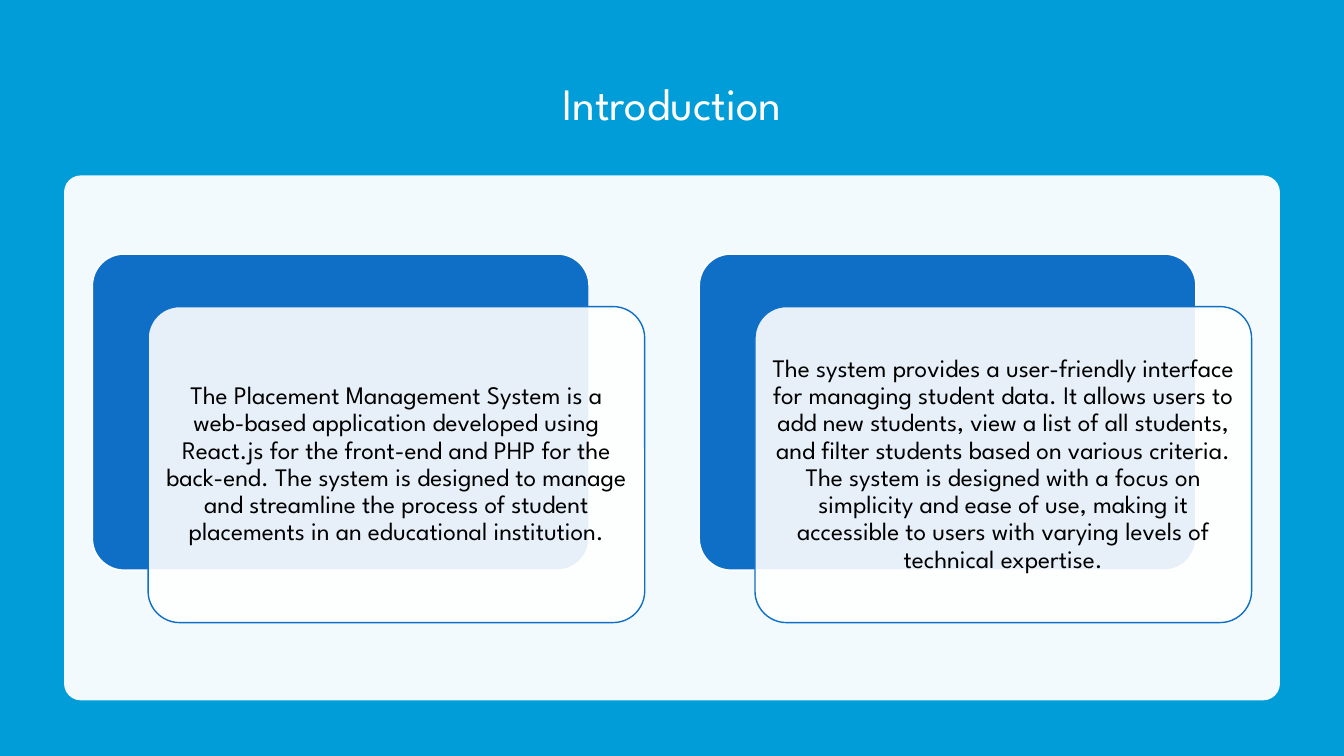
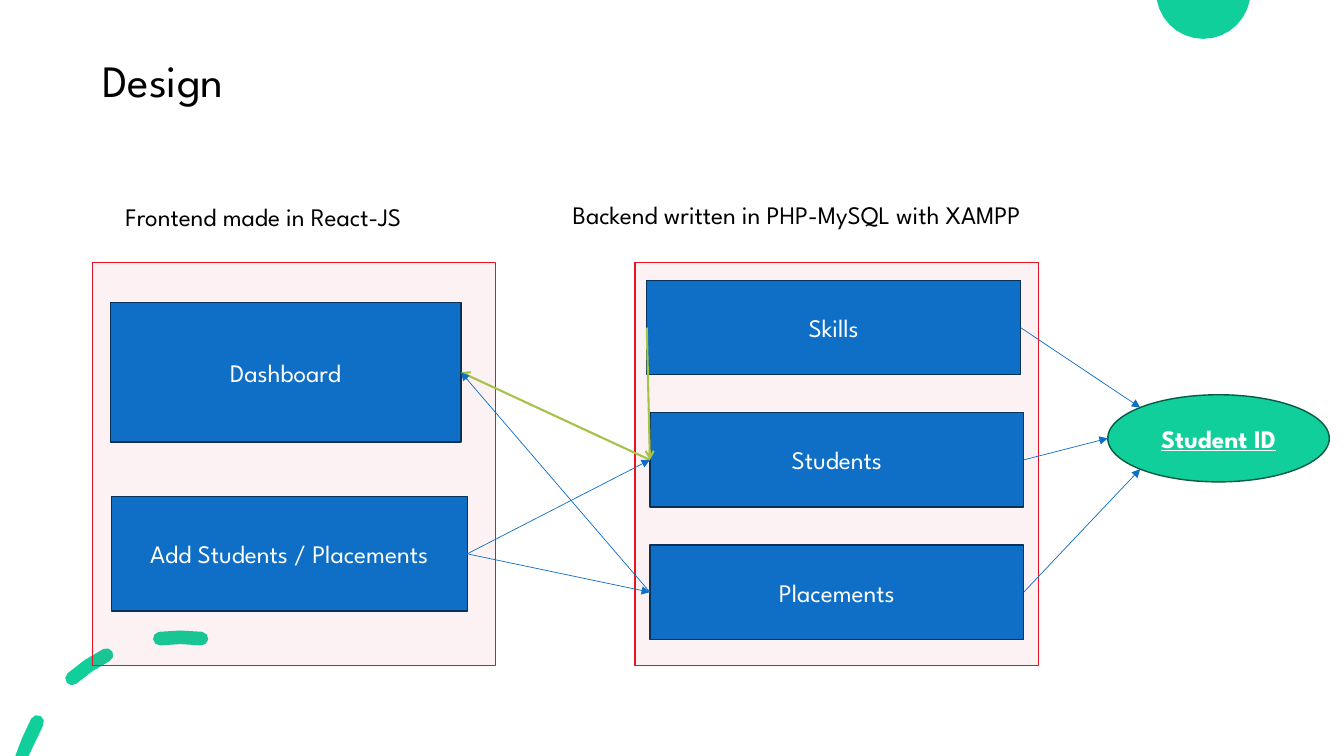
from dataclasses import dataclass
from math import cos, pi, radians, sin
from typing import NamedTuple

from lxml import etree
from pptx import Presentation
from pptx.dml.color import RGBColor
from pptx.enum.shapes import MSO_CONNECTOR, MSO_SHAPE
from pptx.enum.text import MSO_ANCHOR, MSO_AUTO_SIZE, PP_ALIGN
from pptx.oxml.ns import qn
from pptx.util import Pt

PX = 9525
SLIDE_WIDTH, SLIDE_HEIGHT = 1280, 720
TITLE_ONLY = 5
TOP, LEFT, BOTTOM, RIGHT = range(4)
STRAIGHT = MSO_CONNECTOR.STRAIGHT
RECTANGLE = MSO_SHAPE.RECTANGLE
ROUNDED = MSO_SHAPE.ROUNDED_RECTANGLE
ELLIPSE = MSO_SHAPE.OVAL
ALIGN_LEFT, ALIGN_CENTER = PP_ALIGN.LEFT, PP_ALIGN.CENTER
MIDDLE = MSO_ANCHOR.MIDDLE
NO_AUTOFIT = MSO_AUTO_SIZE.NONE


@dataclass(frozen=True)
class Theme:
    """Colours, font and type sizes of the presentation."""
    font: str = "League Spartan"
    title_size: int = 32
    body_size: int = 18
    white: str = "FFFFFF"
    black: str = "000000"
    sky: str = "009DD9"
    blue: str = "0F6FC6"
    navy: str = "073157"
    green: str = "10CF9B"
    dark_green: str = "075B44"
    lime: str = "A5C249"
    red: str = "E71224"


THEME = Theme()


class Box(NamedTuple):
    """A rectangle in px."""
    left: int
    top: int
    width: int
    height: int

    def inside(self, left, top, width, height):
        """Return a box placed relative to this one's corner."""
        return Box(self.left + left, self.top + top, width, height)

    def emu(self):
        """Return the four lengths in EMU."""
        return [value * PX for value in self]


INTRODUCTION_CARDS = [
    "The Placement Management System is a web-based application developed using "
    "React.js for the front-end and PHP for the back-end. The system is designed to "
    "manage and streamline the process of student placements in an educational "
    "institution.",
    "The system provides a user-friendly interface for managing student data. It "
    "allows users to add new students, view a list of all students, and filter "
    "students based on various criteria. The system is designed with a focus on "
    "simplicity and ease of use, making it accessible to users with varying levels "
    "of technical expertise.",
]
FRONTEND_MODULES = [
    ("Dashboard", (17, 38, 334, 133)),
    ("Add Students / Placements", (18, 223, 339, 109)),
]
BACKEND_MODULES = [
    (name, (indent, 17 + 126 * row, 356, 90))
    for row, (name, indent) in enumerate(
        [("Skills", 11), ("Students", 14), ("Placements", 14)])
]


def write(shape, text, color, size=THEME.body_size, align=ALIGN_CENTER, spacing=1.0):
    """Set one paragraph of text in the theme font and return its run font."""
    frame = shape.text_frame
    frame.text = text
    frame.word_wrap = True
    paragraph = frame.paragraphs[0]
    paragraph.alignment = align
    paragraph.line_spacing = spacing
    font = paragraph.runs[0].font
    font.name = THEME.font
    font.size = Pt(size)
    font.color.rgb = RGBColor.from_string(color)
    return font


def paint(shape, fill, line=None, opacity=100):
    """Give a shape a flat fill, an optional 1 pt outline and no shadow."""
    shape.shadow.inherit = False
    shape.fill.solid()
    shape.fill.fore_color.rgb = RGBColor.from_string(fill)
    if opacity < 100:
        color = shape.element.spPr.find(qn("a:solidFill"))[0]
        etree.SubElement(color, qn("a:alpha"), val=str(opacity * 1000))
    if line:
        shape.line.color.rgb = RGBColor.from_string(line)
        shape.line.width = Pt(1)
    else:
        shape.line.fill.background()


def add_block(slide, kind, box, fill, line=None, opacity=100, corner=None):
    """Add a painted preset shape."""
    shape = slide.shapes.add_shape(kind, *box.emu())
    paint(shape, fill, line, opacity)
    if corner is not None:
        shape.adjustments[0] = corner
    return shape


def add_titled_slide(presentation, title, box, color, align):
    """Add a title-only slide with its title placed and styled."""
    slide = presentation.slides.add_slide(presentation.slide_layouts[TITLE_ONLY])
    shape = slide.shapes.title
    shape.left, shape.top, shape.width, shape.height = box.emu()
    write(shape, title, color, THEME.title_size, align, 0.9)
    shape.text_frame.vertical_anchor = MIDDLE
    shape.text_frame.auto_size = NO_AUTOFIT
    return slide


def add_card(slide, box, text):
    """Add a blue card with a translucent text card shifted over it."""
    add_block(slide, ROUNDED, box, THEME.blue, THEME.white, corner=0.1)
    front = add_block(slide, ROUNDED, box.inside(53, 50, box.width, box.height),
                      THEME.white, THEME.blue, opacity=90, corner=0.1)
    write(front, text, THEME.black, spacing=0.9)
    frame = front.text_frame
    frame.margin_left = frame.margin_right = 7 * PX
    frame.margin_top = frame.margin_bottom = 7 * PX


def add_outline(slide, contours, fill):
    """Add one filled shape of closed contours, cut off at the slide's edges."""
    builder = None
    for points in contours:
        corners = [(round(x * PX), round(min(max(y, 0), SLIDE_HEIGHT) * PX))
                   for x, y in points]
        if builder is None:
            builder = slide.shapes.build_freeform(*corners[0], scale=1.0)
        else:
            builder.move_to(*corners[0])
        builder.add_line_segments(corners[1:], close=True)
    shape = builder.convert_to_shape()
    paint(shape, fill)
    return shape


def arc(center_x, center_y, radius, start, end, steps=4):
    """Return points on an arc, with angles in degrees clockwise from up."""
    angles = [radians(start + (end - start) * step / steps) for step in range(steps + 1)]
    return [(center_x + radius * sin(angle), center_y - radius * cos(angle))
            for angle in angles]


def dash_contour(center_x, center_y, radius, half_width, start, end):
    """Return the contour of a round-ended dash along a circle."""
    first, last = arc(center_x, center_y, radius, start, end, 1)
    return [
        *arc(center_x, center_y, radius + half_width, start, end, 2),
        *arc(*last, half_width, end, end + 180)[1:-1],
        *arc(center_x, center_y, radius - half_width, end, start, 2),
        *arc(*first, half_width, start + 180, start + 360)[1:-1],
    ]


def decorate_layout(slide):
    """Put the half disc and the dashed arc on the layout that slides share."""
    half_disc = add_outline(slide, [arc(1146, -8, 45, 100, 260, 14)], THEME.green)
    dashes = add_outline(slide, [
        dash_contour(172, 763, 156, 6.5, start, start + 14.6)
        for start in (-7.3, -41.5, -75.7)
    ], THEME.green)
    for number, shape in enumerate((half_disc, dashes), 101):
        shape.element.nvSpPr.cNvPr.set("id", str(number))
        slide.slide_layout.shapes.element.append(shape.element)


def add_tier(slide, box, modules):
    """Add a tinted panel with its module boxes and return these by name."""
    add_block(slide, RECTANGLE, box, THEME.red, THEME.red, opacity=5)
    shapes = {}
    for name, place in modules:
        shapes[name] = add_block(slide, RECTANGLE, box.inside(*place),
                                 THEME.blue, THEME.navy)
        write(shapes[name], name, THEME.white)
    return shapes


def add_label(slide, box, text):
    """Add a plain left-aligned label."""
    write(slide.shapes.add_textbox(*box.emu()), text, THEME.black, align=ALIGN_LEFT)


def add_arrow(slide, source, source_side, target=None, target_side=LEFT,
              point=(0, 0), color=THEME.blue, width=0.5, head="triangle"):
    """Add an arrow from a box's side to another box's side or to a point in px."""
    end_x, end_y = (round(value * PX) for value in point)
    connector = slide.shapes.add_connector(STRAIGHT, 0, 0, end_x, end_y)
    connector.begin_connect(source, source_side)
    if target is not None:
        connector.end_connect(target, target_side)
    connector.line.color.rgb = RGBColor.from_string(color)
    connector.line.width = Pt(width)
    properties = connector.element.spPr
    etree.SubElement(properties.find(qn("a:ln")), qn("a:tailEnd"), type=head)
    etree.SubElement(properties, qn("a:effectLst"))


def add_key_arrows(slide, box, sources):
    """Lead the sources to the upper left, left and lower left of an ellipse."""
    center_x, center_y = box.left + box.width / 2, box.top + box.height / 2
    for source, angle in zip(sources, (-pi / 4, 0, pi / 4)):
        point = (center_x - box.width / 2 * cos(angle),
                 center_y + box.height / 2 * sin(angle))
        add_arrow(slide, source, RIGHT, point=point)


def build_introduction(presentation):
    """Build the introduction slide with two text cards on a coloured ground."""
    slide = add_titled_slide(presentation, "Introduction", Box(88, 48, 1104, 106),
                             THEME.white, ALIGN_CENTER)
    decorate_layout(slide)
    ground = add_block(slide, RECTANGLE, Box(0, 0, SLIDE_WIDTH, SLIDE_HEIGHT), THEME.sky)
    ground.element.addnext(slide.shapes.title.element)
    panel = Box(61, 167, 1158, 500)
    add_block(slide, ROUNDED, panel, THEME.white, opacity=95, corner=0.032)
    for column, text in enumerate(INTRODUCTION_CARDS):
        add_card(slide, panel.inside(27 + 578 * column, 75, 473, 301), text)


def build_design(presentation):
    """Build the design slide with front end, back end and shared key."""
    slide = add_titled_slide(presentation, "Design", Box(88, 38, 1104, 83),
                             THEME.black, ALIGN_LEFT)
    backend = add_tier(slide, Box(605, 250, 384, 384), BACKEND_MODULES)
    frontend = add_tier(slide, Box(88, 250, 384, 384), FRONTEND_MODULES)
    skills, students, placements = backend.values()
    dashboard, add_form = frontend.values()

    key_box = Box(1055, 376, 211, 83)
    key = add_block(slide, ELLIPSE, key_box, THEME.green, THEME.dark_green)
    font = write(key, "Student ID", THEME.white)
    font.bold = font.underline = True
    add_key_arrows(slide, key_box, backend.values())

    lime_arrow = {"color": THEME.lime, "width": 1.5, "head": "arrow"}
    add_arrow(slide, students, LEFT, dashboard, RIGHT, **lime_arrow)
    add_arrow(slide, placements, LEFT, dashboard, RIGHT)
    add_arrow(slide, add_form, RIGHT, students, LEFT)
    add_arrow(slide, add_form, RIGHT, placements, LEFT)
    add_arrow(slide, skills, LEFT, students, LEFT, **lime_arrow)

    add_label(slide, Box(110, 187, 339, 38), "Frontend made in React-JS")
    add_label(slide, Box(536, 185, 522, 38), "Backend written in PHP-MySQL with XAMPP")


def main():
    """Build and save the presentation."""
    presentation = Presentation()
    presentation.slide_width = SLIDE_WIDTH * PX
    presentation.slide_height = SLIDE_HEIGHT * PX
    build_introduction(presentation)
    build_design(presentation)
    presentation.save("out.pptx")


if __name__ == "__main__":
    main()
